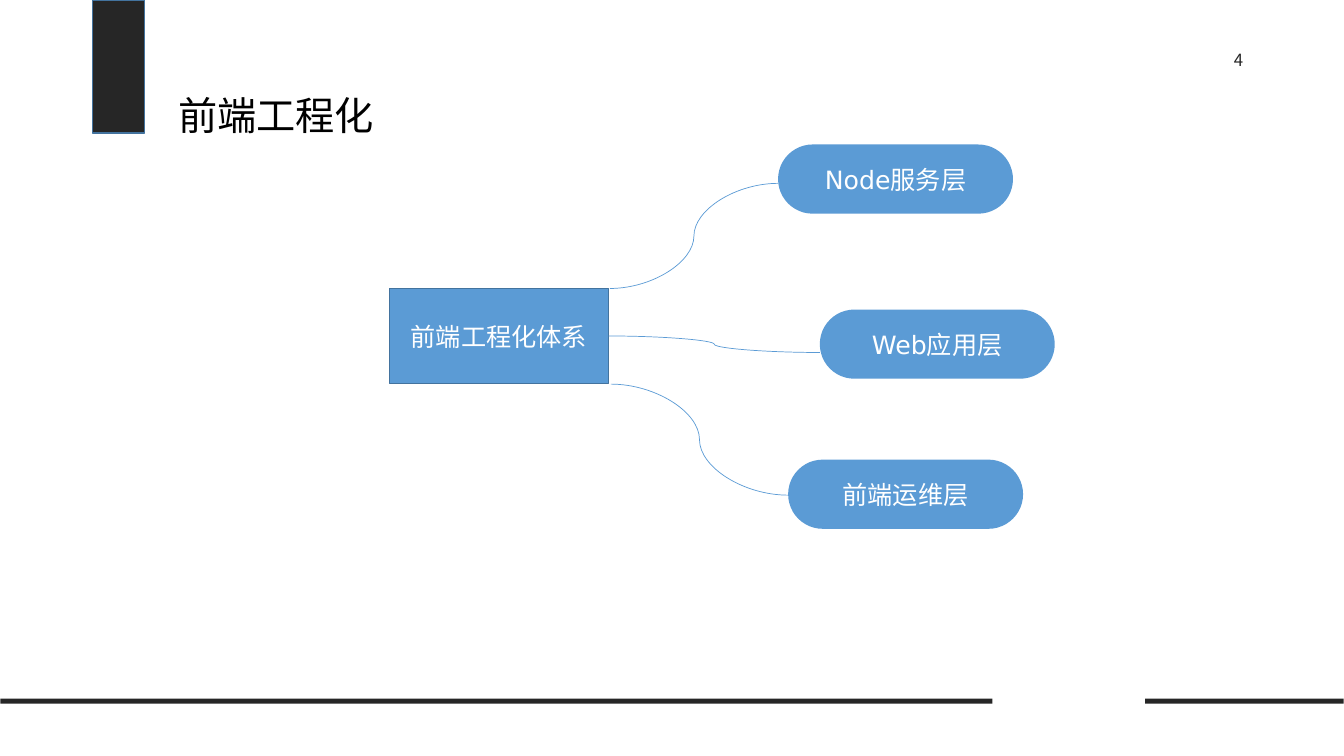
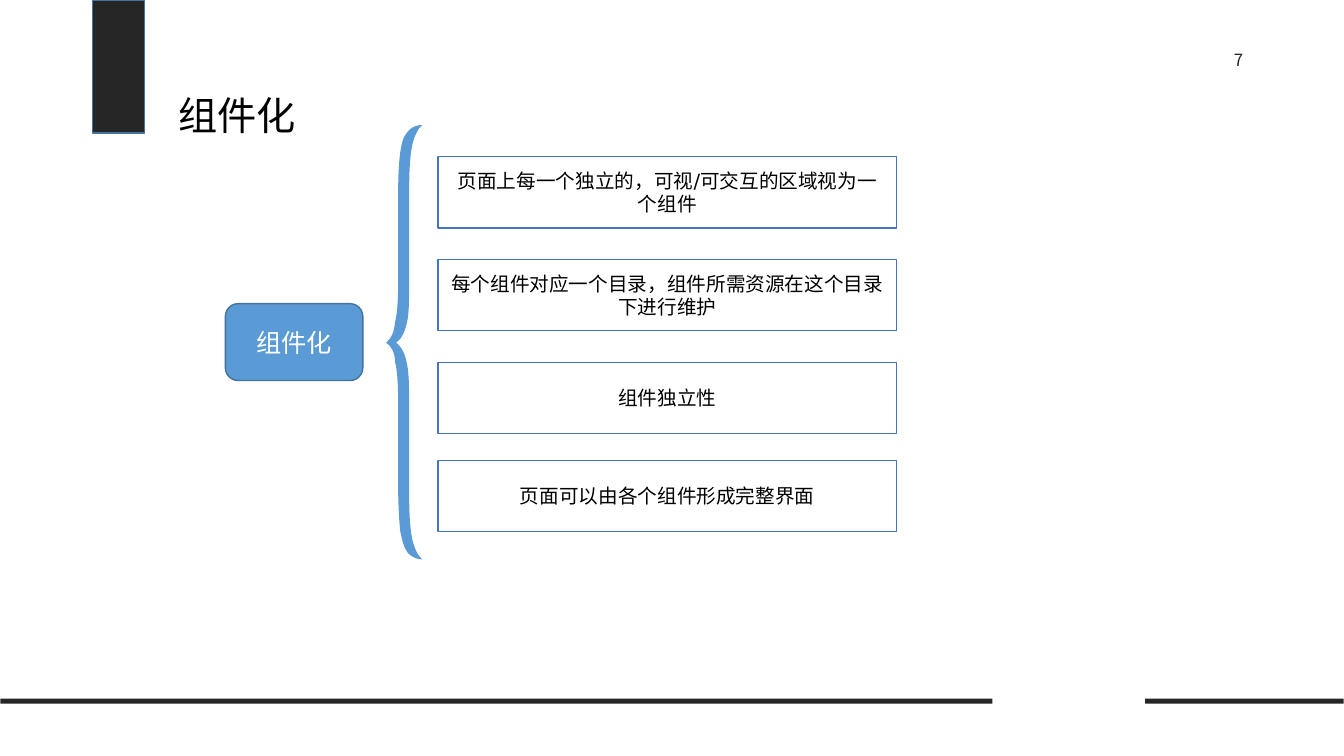
from pptx import Presentation
from pptx.dml.color import RGBColor
from pptx.enum.shapes import MSO_CONNECTOR as Connector, MSO_SHAPE as Shape
from pptx.enum.text import MSO_ANCHOR as Anchor, MSO_AUTO_SIZE as AutoSize, PP_ALIGN as Align
from pptx.oxml.ns import qn
from pptx.util import Pt
from lxml.etree import SubElement

DARK = RGBColor(0x26, 0x26, 0x26)
BLUE = RGBColor(0x5B, 0x9B, 0xD5)
BLUE_EDGE = RGBColor(0x43, 0x73, 0x9E)
BOX_EDGE = RGBColor(0x44, 0x72, 0xC4)
WHITE = RGBColor(0xFF, 0xFF, 0xFF)
BLACK = RGBColor(0, 0, 0)
CJK_FONT = "Noto Sans CJK SC"
LATIN_FONT = "DejaVu Sans"

TITLE_AREA = (120.2, 43.2, 720, 59.8)
NUMBER_AREA = (852.7, 24.7, 64, 36)
FRAME_BARS = [
    ((66.1, 0, 37.1, 95), BLUE_EDGE),
    ((0.3, 499.1, 708.6, 3.6), None),
    ((817.9, 499.1, 141.9, 3.6), None),
]

ROOT = ("前端工程化体系", (278.2, 206.1, 156.4, 67.8))
LAYER_SIZE = (167.8, 49.4)
LAYERS = [
    ("Node服务层", (555.8, 103.2), (435.6, 206.1), 131),
    ("Web应用层", (585.6, 221.1), (434.8, 240), 251.8),
    ("前端运维层", (563, 328.3), (436.3, 274.4), 353.7),
]

TOPIC = ("组件化", (161, 216.9, 98.2, 54.9))
RULE_LEFT, RULE_SIZE = 312.9, (327.6, 50.9)
RULES = [
    ("页面上每一个独立的，可视/可交互的区域视为一个组件", 111.9),
    ("每个组件对应一个目录，组件所需资源在这个目录下进行维护", 185.3),
    ("组件独立性", 258.8),
    ("页面可以由各个组件形成完整界面", 328.8),
]

BRACE_START = (292.3, 134.6)
BRACE_CURVES = [
    [(292.3, 121.7), (293, 110.2), (294.5, 103.7)],
    [(295.9, 97.2), (298.8, 91.4), (301.7, 89.3)],
    [(295.2, 89.3), (290.9, 92.9), (288, 99.4)],
    [(285.8, 105.1), (284.4, 118.8), (284.4, 139)],
    [(284.4, 203)] * 3,
    [(284.4, 215.3), (283.7, 223.9), (282.2, 230.4)],
    [(281.5, 237.6), (279.4, 241.9), (275.8, 244.8)],
    [(279.4, 247), (282.2, 252), (282.2, 258.5)],
    [(283.7, 263.5), (284.4, 273.6), (284.4, 287.3)],
    [(284.4, 345.6)] * 3,
    [(284.4, 360), (285.1, 370.8), (285.8, 378.7)],
    [(287.3, 386.6), (288.7, 391.7), (291.6, 395.3)],
    [(293.8, 397.4), (297.4, 399.6), (301.7, 399.6)],
    [(298.8, 397.4), (295.9, 391.7), (294.5, 385.2)],
    [(293, 378), (292.3, 367.9), (292.3, 354.2)],
    [(292.3, 294.5)] * 3,
    [(292.3, 279.4), (292.3, 268.6), (290.9, 260.6)],
    [(289.4, 252.7), (287.3, 248.4), (283, 244.8)],
    [(287.3, 241.9), (289.4, 236.2), (290.9, 229.7)],
    [(292.3, 223.2), (292.3, 211.7), (292.3, 197.3)],
]


def in_points(values):
    return [Pt(value) for value in values]


def write(frame, text, size, color, latin, align=Align.CENTER, anchor=Anchor.MIDDLE):
    frame.word_wrap = True
    frame.auto_size = AutoSize.NONE
    frame.vertical_anchor = anchor
    para = frame.paragraphs[0]
    para.alignment = align
    span = para.add_run()
    span.text = text
    span.font.size = Pt(size)
    span.font.color.rgb = color
    span.font.name = latin
    SubElement(span.font._element, qn("a:ea"), typeface=CJK_FONT)
    return para


def paint(shape, fill, edge=None):
    shape.shadow.inherit = False
    shape.fill.solid()
    shape.fill.fore_color.rgb = fill
    if edge is None:
        shape.line.fill.background()
    else:
        shape.line.color.rgb = edge
        shape.line.width = Pt(1)


def add_box(slide, kind, area, fill, edge=None, text=None, size=18, color=WHITE):
    box = slide.shapes.add_shape(kind, *in_points(area))
    paint(box, fill, edge)
    if text:
        write(box.text_frame, text, size, color, LATIN_FONT)
    return box


def add_curve(slide, start, end):
    curve = slide.shapes.add_connector(Connector.CURVE, *in_points(start + end))
    curve.line.color.rgb = BLUE
    curve.line.width = Pt(0.5)
    SubElement(curve._element.spPr, qn("a:effectLst"))


def add_brace(slide):
    builder = slide.shapes.build_freeform(*in_points(BRACE_START), scale=1.0)
    ends = [in_points(curve[-1]) for curve in BRACE_CURVES]
    builder.add_line_segments(ends + [in_points(BRACE_START)], close=True)
    brace = builder.convert_to_shape()
    paint(brace, BLUE)
    segments = list(brace.element.iter(qn("a:lnTo")))
    for segment, curve in zip(segments, BRACE_CURVES):
        bezier = segment.makeelement(qn("a:cubicBezTo"))
        for x, y in curve:
            SubElement(bezier, qn("a:pt"), x=str(Pt(x) - brace.left), y=str(Pt(y) - brace.top))
        segment.getparent().replace(segment, bezier)


def add_page(deck, layout, title, number):
    slide = deck.slides.add_slide(layout)
    heading = slide.shapes.title
    heading.left, heading.top, heading.width, heading.height = in_points(TITLE_AREA)
    para = write(heading.text_frame, title, 28, BLACK, CJK_FONT, Align.LEFT, Anchor.BOTTOM)
    para.line_spacing = 0.9
    number_box = slide.shapes.add_textbox(*in_points(NUMBER_AREA))
    write(number_box.text_frame, number, 12, DARK, CJK_FONT)
    return slide


def move_frame_to_layout(slide, layout):
    for area, edge in FRAME_BARS:
        bar = add_box(slide, Shape.RECTANGLE, area, DARK, edge)
        layout.shapes.element.append(bar.element)


def draw_layers(slide):
    text, area = ROOT
    add_box(slide, Shape.RECTANGLE, area, BLUE, BLUE_EDGE, text)
    for text, corner, start, end_y in LAYERS:
        add_curve(slide, start, (corner[0], end_y))
        pill = add_box(slide, Shape.ROUNDED_RECTANGLE, corner + LAYER_SIZE, BLUE, text=text)
        pill.adjustments[0] = 0.5


def draw_components(slide):
    add_brace(slide)
    for text, top in RULES:
        area = (RULE_LEFT, top) + RULE_SIZE
        add_box(slide, Shape.RECTANGLE, area, WHITE, BOX_EDGE, text, 14, BLACK)
    text, area = TOPIC
    add_box(slide, Shape.ROUNDED_RECTANGLE, area, BLUE, BLUE_EDGE, text)


def main():
    deck = Presentation()
    deck.slide_width, deck.slide_height = Pt(960), Pt(540)
    layout = deck.slide_layouts[5]
    layers_page = add_page(deck, layout, "前端工程化", "4")
    components_page = add_page(deck, layout, "组件化", "7")
    move_frame_to_layout(layers_page, layout)
    draw_layers(layers_page)
    draw_components(components_page)
    deck.save("out.pptx")


if __name__ == "__main__":
    main()
